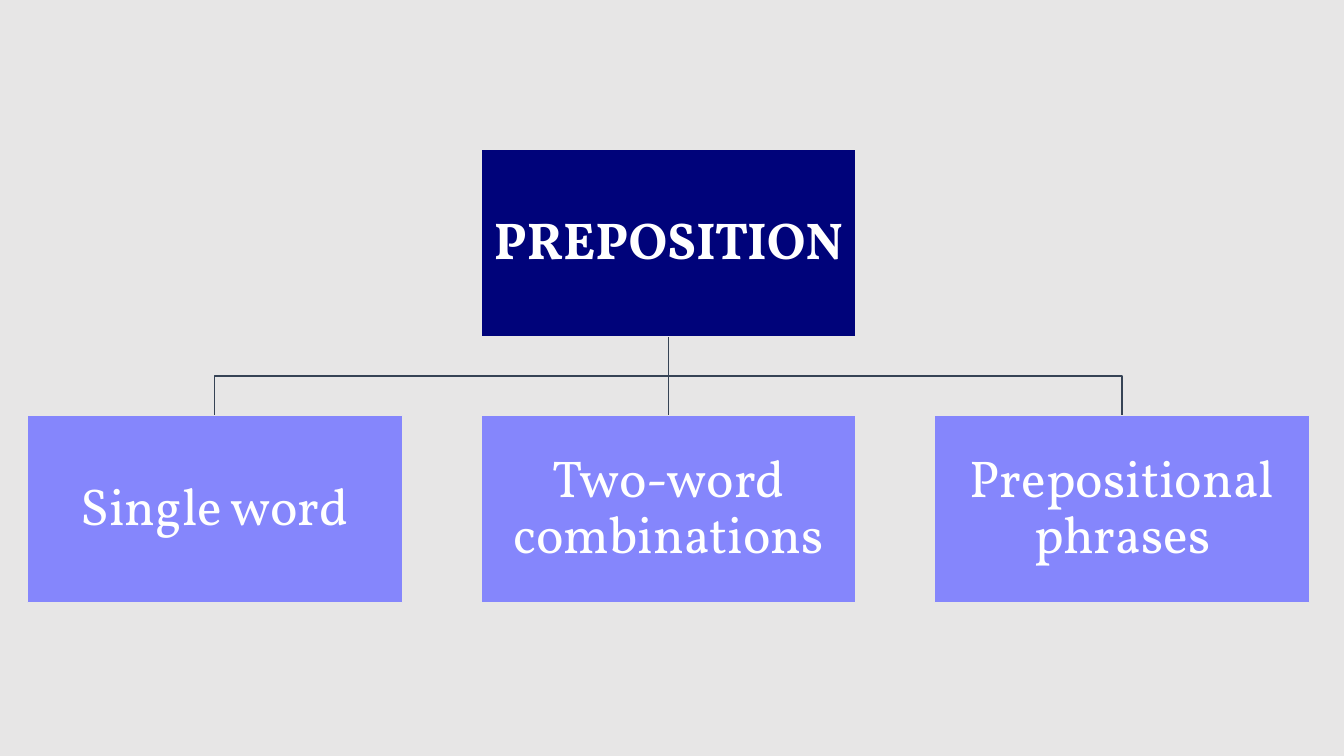
from dataclasses import dataclass

from lxml import etree
from pptx import Presentation
from pptx.dml.color import RGBColor
from pptx.enum import shapes, text
from pptx.oxml import ns
from pptx.util import Inches, Pt

COLORS = {
    "background": "E7E6E6",
    "root": "00037A",
    "branch": "8586FC",
    "link": "364355",
    "text": "FFFFFF",
}
FONT = "Vollkorn"
BOX_WIDTH, BOX_HEIGHT = 3.72, 1.86
ROOT_TOP, BRANCH_TOP = 1.48, 4.12
FIRST_LEFT, PITCH = 0.27, 4.5


@dataclass(frozen=True)
class Node:
    label: str
    column: int
    top: float
    color: str
    bold: bool = False

    @property
    def left(self) -> float:
        return FIRST_LEFT + self.column * PITCH

    @property
    def center(self) -> float:
        return self.left + BOX_WIDTH / 2

    @property
    def bottom(self) -> float:
        return self.top + BOX_HEIGHT


ROOT = Node("PREPOSITION", 1, ROOT_TOP, "root", bold=True)
BRANCHES = [
    Node(label, column, BRANCH_TOP, "branch")
    for column, label in enumerate(
        ["Single word", "Two-word combinations", "Prepositional phrases"]
    )
]


def rgb(name: str) -> RGBColor:
    return RGBColor.from_string(COLORS[name])


def write_text(frame, content: str, *, size: float = 37, bold: bool = False,
               color: str = "text", margin: float = 0.03) -> None:
    frame.word_wrap = True
    frame.vertical_anchor = text.MSO_ANCHOR.MIDDLE
    frame.margin_left = frame.margin_right = Inches(margin)
    frame.margin_top = frame.margin_bottom = Inches(margin)
    paragraph = frame.paragraphs[0]
    paragraph.alignment = text.PP_ALIGN.CENTER
    paragraph.line_spacing = 0.9
    run = paragraph.add_run()
    run.text = content
    run.font.name = FONT
    run.font.size = Pt(size)
    run.font.bold = bold
    run.font.color.rgb = rgb(color)


def style_line(line, color: str) -> None:
    line.color.rgb = rgb(color)
    line.width = Pt(1)


def draw_link(slide, parent: Node, child: Node) -> None:
    start_x, end_x = Inches(parent.center), Inches(child.center)
    start_y, end_y = Inches(parent.bottom), Inches(child.top)
    if parent.column == child.column:
        link = slide.shapes.add_connector(
            shapes.MSO_CONNECTOR.STRAIGHT, start_x, start_y, end_x, end_y
        )
        etree.SubElement(link.element.spPr, ns.qn("a:effectLst"))
    else:
        middle_y = (start_y + end_y) // 2
        builder = slide.shapes.build_freeform(start_x, start_y)
        builder.add_line_segments(
            [(start_x, middle_y), (end_x, middle_y), (end_x, end_y)], close=False
        )
        link = builder.convert_to_shape()
        link.fill.background()
        link.shadow.inherit = False
    style_line(link.line, "link")


def draw_node(slide, node: Node) -> None:
    box = slide.shapes.add_shape(
        shapes.MSO_SHAPE.RECTANGLE, Inches(node.left), Inches(node.top),
        Inches(BOX_WIDTH), Inches(BOX_HEIGHT),
    )
    box.shadow.inherit = False
    box.fill.solid()
    box.fill.fore_color.rgb = rgb(node.color)
    style_line(box.line, "background")
    write_text(box.text_frame, node.label, bold=node.bold)


def main() -> None:
    deck = Presentation()
    deck.slide_width, deck.slide_height = Inches(13.33), Inches(7.5)
    slide = deck.slides.add_slide(deck.slide_layouts[6])
    slide.background.fill.solid()
    slide.background.fill.fore_color.rgb = rgb("background")

    # Links lie behind the boxes
    for branch in reversed(BRANCHES):
        draw_link(slide, ROOT, branch)

    # Root box and its three branches
    for node in [ROOT, *BRANCHES]:
        draw_node(slide, node)

    deck.save("out.pptx")


if __name__ == "__main__":
    main()
